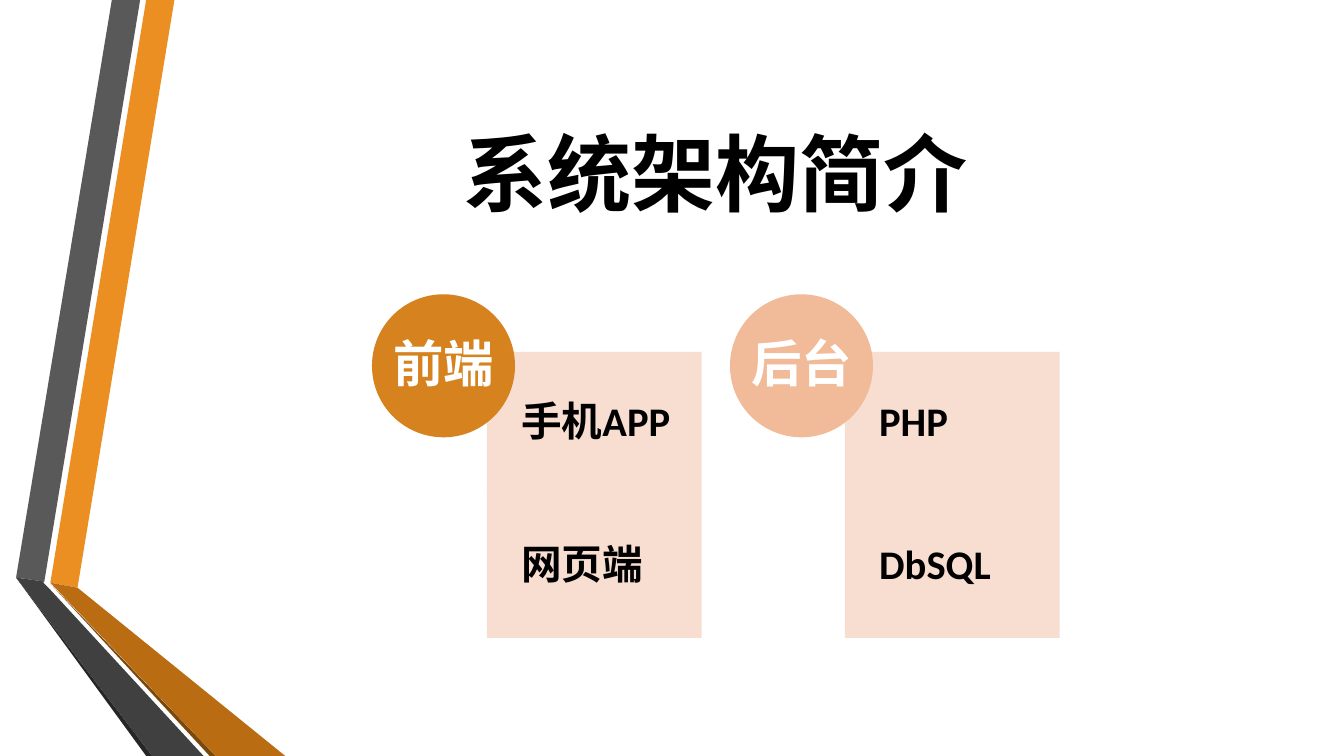
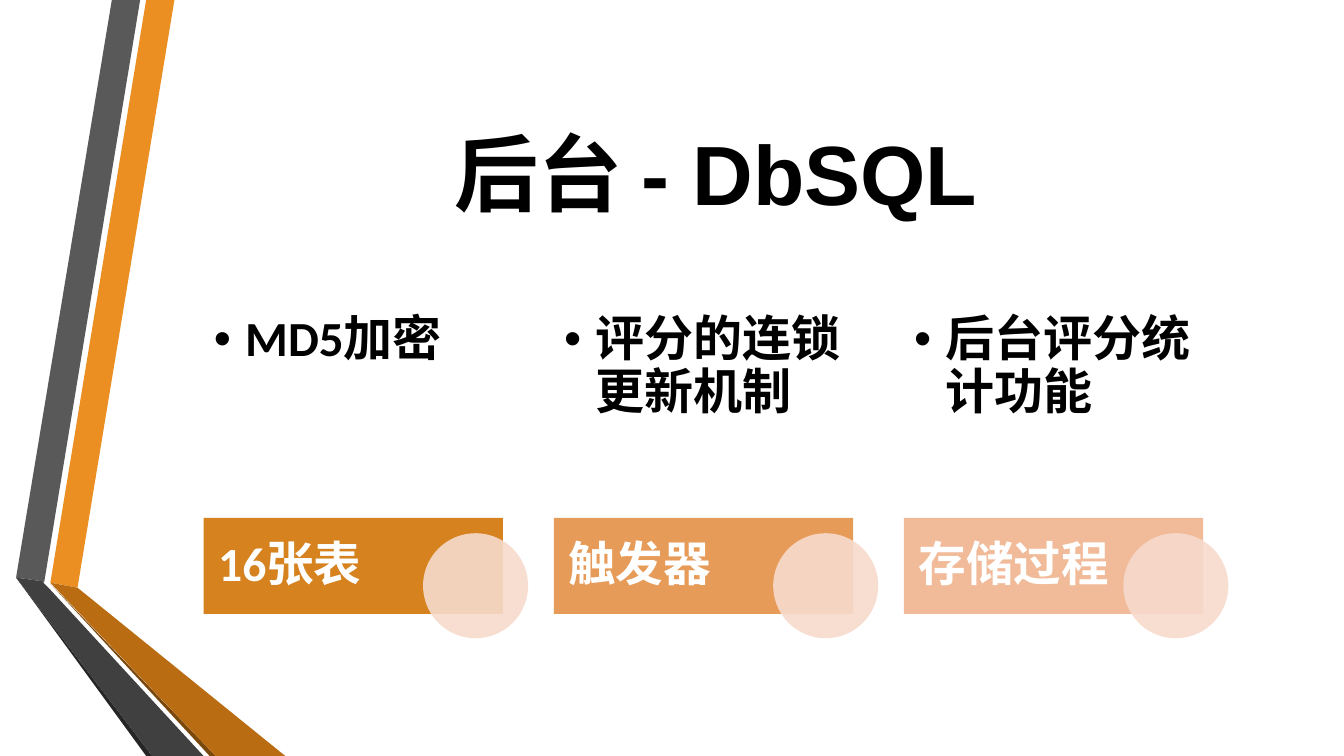
"""Build two slides on a system's front end and back end."""
import dataclasses

import pptx
import pptx.dml.color
import pptx.enum.lang
import pptx.enum.shapes
import pptx.enum.text
import pptx.oxml.ns
import pptx.util
from lxml import etree

Pt = pptx.util.Pt
SHAPE = pptx.enum.shapes.MSO_SHAPE
ALIGN = pptx.enum.text.PP_ALIGN
ANCHOR = pptx.enum.text.MSO_ANCHOR
qn = pptx.oxml.ns.qn


@dataclasses.dataclass(frozen=True)
class Theme:
    width: float = 960
    height: float = 540
    font: str = "Calibri"
    black: str = "000000"
    white: str = "FFFFFF"
    tints: tuple = ("D5821F", "E79B58", "F1BB99")
    pale: str = "F7DBCD"
    alpha: int = 90
    title: int = 60
    badge: int = 36
    point: int = 35
    label: int = 34
    item: int = 29
    bands: tuple = (
        ("EB8F22", ((36, 416.2), (55.4, 419.8), (124.6, 0), (104.4, 0))),
        ("595959", ((100.1, 0), (79.9, 0), (11.5, 412.6), (31.7, 415.4))),
        ("262626", ((11.5, 412.6), (104.4, 540), (108.7, 540))),
        ("7B480B", ((36, 416.9), (149.8, 540), (154.1, 540))),
        ("B96C11", ((36, 416.2), (154.1, 540), (203.8, 540), (55.4, 419.8))),
        ("404040", ((145.4, 540), (34.6, 419.8), (31, 416.2), (31.7, 415.4),
                    (11.5, 412.6), (108.7, 540))),
    )


class Deck:
    def __init__(self, theme):
        self.theme = theme
        self.show = pptx.Presentation()
        self.show.slide_width = Pt(theme.width)
        self.show.slide_height = Pt(theme.height)
        self.slide = None

    def page(self, title, font=None):
        self.slide = self.show.slides.add_slide(self.show.slide_layouts[6])
        for color, points in self.theme.bands:
            self.band(color, points)
        box = self.slide.shapes.add_textbox(Pt(116.6), Pt(54), Pt(789.1), Pt(138.2))
        self.label(box, title, self.theme.title, self.theme.black,
                   (7.2, 3.6, 7.2, 3.6), ALIGN.CENTER, font=font, space=1)

    def band(self, color, points):
        first, *rest = [(Pt(x), Pt(y)) for x, y in points]
        shape = self.slide.shapes.build_freeform(*first)
        shape.add_line_segments(rest)
        self.paint(shape.convert_to_shape(), color)

    def paint(self, shape, color, alpha=100):
        shape.shadow.inherit = False
        shape.fill.solid()
        shape.fill.fore_color.rgb = pptx.dml.color.RGBColor.from_string(color)
        shape.line.fill.background()
        if alpha < 100:
            tint = next(shape.element.spPr.iter(qn("a:srgbClr")))
            etree.SubElement(tint, qn("a:alpha"), val=str(alpha * 1000))

    def shape(self, kind, x, y, w, h, color, alpha=100):
        shape = self.slide.shapes.add_shape(kind, Pt(x), Pt(y), Pt(w), Pt(h))
        self.paint(shape, color, alpha)
        return shape

    def label(self, shape, text, size, color, pads=(0, 0, 0, 0), align=ALIGN.LEFT,
              anchor=ANCHOR.MIDDLE, font=None, space=0.9):
        frame = shape.text_frame
        frame.text = text
        frame.word_wrap = True
        frame.vertical_anchor = anchor
        (frame.margin_left, frame.margin_top,
         frame.margin_right, frame.margin_bottom) = map(Pt, pads)
        line = frame.paragraphs[0]
        line.alignment = align
        line.line_spacing = space
        for run in line.runs:
            run.font.name = font or self.theme.font
            run.font.size = Pt(size)
            run.font.bold = True
            run.font.color.rgb = pptx.dml.color.RGBColor.from_string(color)
            run.font.language_id = pptx.enum.lang.MSO_LANGUAGE_ID.SIMPLIFIED_CHINESE
        return line

    def bullet(self, line, indent=22.3):
        props = line._p.get_or_add_pPr()
        props.set("marL", str(Pt(indent)))
        props.set("indent", str(-Pt(indent)))
        etree.SubElement(props, qn("a:buFont"), typeface="Arial")
        etree.SubElement(props, qn("a:buChar"), char="•")

    def stack(self, x, y, name, items, color):
        theme, side = self.theme, 102.2
        for row, item in enumerate(items):
            cell = self.shape(SHAPE.RECTANGLE, x + 82.1, y + 41.1 + row * side,
                              153.4, side, theme.pale, theme.alpha)
            self.label(cell, item, theme.item, theme.black, (24.5, 16.6, 16.6, 16.6))
        disc = self.shape(SHAPE.OVAL, x, y, side, side, color)
        self.label(disc, name, theme.badge, theme.white, align=ALIGN.CENTER)

    def card(self, x, y, name, note, color):
        theme, wide, high = self.theme, 213.8, 159.8
        sheet = self.shape(SHAPE.ROUND_2_SAME_RECTANGLE, x, y, wide, high,
                           theme.white, theme.alpha)
        sheet.adjustments[0] = 0.08
        sheet.adjustments[1] = 0
        self.bullet(self.label(sheet, note, theme.point, theme.black,
                               (3.6, 10.8, 3.6, 3.6), anchor=ANCHOR.TOP))
        bar = self.shape(SHAPE.RECTANGLE, x, y + high, wide, 68.6, color)
        self.label(bar, name, theme.label, theme.white, (10.4, 0, 60, 0))
        self.shape(SHAPE.OVAL, x + 156.7, y + 170.7, 75, 75, theme.pale, theme.alpha)


def main():
    theme = Theme()
    deck = Deck(theme)
    top = 210.2

    deck.page("系统架构简介")
    stacks = (("前端", ("手机APP", "网页端"), theme.tints[0]),
              ("后台", ("PHP", "DbSQL"), theme.tints[2]))
    for col, (name, items, color) in enumerate(stacks):
        deck.stack(265.7 + col * 255.7, top, name, items, color)

    deck.page("后台 - DbSQL", "Arial")
    cards = (("16张表", "MD5加密"),
             ("触发器", "评分的连锁更新机制"),
             ("存储过程", "后台评分统计功能"))
    for col, ((name, note), color) in enumerate(zip(cards, theme.tints)):
        deck.card(145.5 + col * 250.1, top, name, note, color)

    deck.show.save("out.pptx")


if __name__ == "__main__":
    main()
